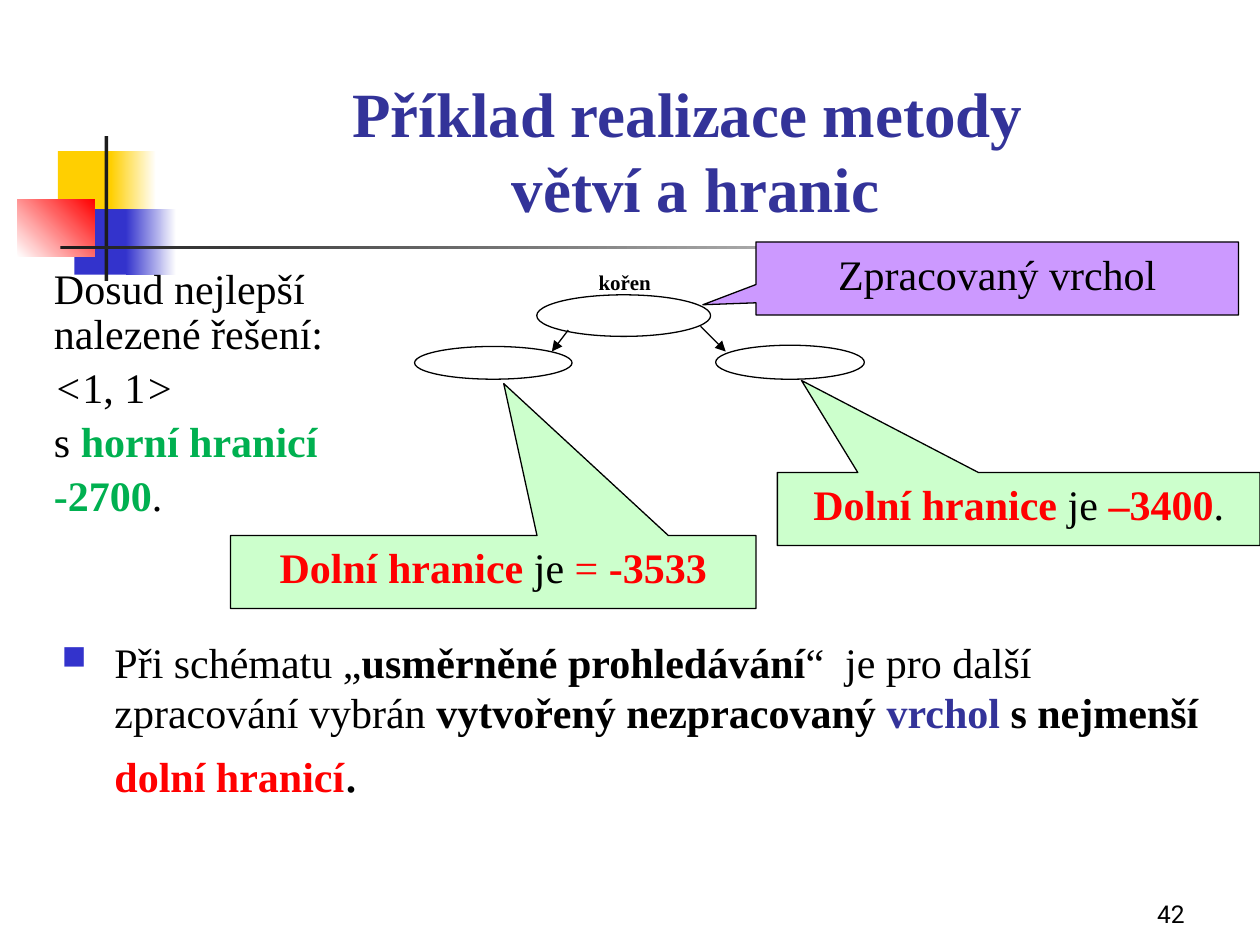
from dataclasses import dataclass

from lxml.etree import SubElement
from pptx import Presentation
from pptx.dml.color import RGBColor
from pptx.enum.shapes import MSO_CONNECTOR, MSO_SHAPE
from pptx.enum.text import MSO_ANCHOR, MSO_AUTO_SIZE, PP_ALIGN
from pptx.oxml.ns import qn
from pptx.util import Inches, Pt

SERIF = "Times New Roman"
BLACK, RED, GREEN, NAVY = "000000", "FF0000", "00B050", "333399"
YELLOW, BLUE, DARK, WHITE = "FFCF01", "3333CC", "1C1C1C", "FFFFFF"
MINT, VIOLET = "CCFFCC", "CC99FF"


@dataclass
class Box:
    left: float
    top: float
    width: float
    height: float

    def lengths(self):
        return [Inches(v) for v in (self.left, self.top, self.width, self.height)]


@dataclass
class Span:
    text: str
    color: str = BLACK
    bold: bool = False
    italic: bool = False
    size: float | None = None


@dataclass
class Block:
    """A decorative rectangle; an end colour turns it into a gradient."""
    box: Box
    color: str
    end_color: str | None = None
    angle: float = 0


@dataclass
class Callout:
    box: Box
    tip: tuple[float, float]
    fill: str
    spans: list[Span]


BLOCKS = [
    Block(Box(0.46, 1.2, 0.48, 0.52), YELLOW),
    Block(Box(0.88, 1.2, 0.36, 0.52), YELLOW, WHITE),
    Block(Box(0.59, 1.66, 0.46, 0.52), BLUE),
    Block(Box(1, 1.66, 0.4, 0.52), BLUE, WHITE),
    Block(Box(0.14, 1.58, 0.61, 0.46), WHITE, RED, 45),
    Block(Box(0.83, 1.08, 0.03, 1.15), DARK),
    Block(Box(0.48, 1.95, 9, 0.03), DARK, WHITE),
]
NODES = [
    Box(4.26, 2.34, 1.38, 0.33),
    Box(3.29, 2.75, 1.25, 0.26),
    Box(5.68, 2.74, 1.18, 0.27),
]
ARROWS = [(5.56, 2.59, 5.76, 2.79), (4.51, 2.62, 4.38, 2.79)]
CALLOUTS = [
    Callout(Box(6.17, 3.75, 3.83, 0.58), (-0.45, -1.76), MINT, [
        Span("Dolní hranice ", RED, True), Span("je "),
        Span("–3400", RED, True), Span(".")]),
    Callout(Box(6, 1.92, 3.83, 0.58), (-0.61, 0.36), VIOLET, [
        Span("Zpracovaný vrchol")]),
    Callout(Box(1.83, 4.25, 4.17, 0.58), (0.02, -2.58), MINT, [
        Span("Dolní hranice ", RED, True), Span("je "),
        Span("= ", RED), Span("-3533", RED, True)]),
]
BEST_SOLUTION = [
    [Span("Dosud nejlepší nalezené řešení:")],
    [Span("<", italic=True), Span("1, 1"), Span(">", italic=True)],
    [Span("s "), Span("horní hranicí", GREEN, True)],
    [Span("-2700", GREEN, True), Span(".")],
]
CONCLUSION = [
    Span("Při schématu „"), Span("usměrněné prohledávání", bold=True),
    Span("“  je pro další zpracování vybrán "),
    Span("vytvořený nezpracovaný ", bold=True), Span("vrchol", NAVY, True),
    Span(" s nejmenší ", bold=True), Span("dolní hranicí", RED, True),
    Span(".", size=32),
]


def rgb(color: str) -> RGBColor:
    return RGBColor.from_string(color)


def write(paragraph, spans: list[Span], size=24, font=SERIF, align=PP_ALIGN.LEFT):
    paragraph.alignment = align
    paragraph.font.name = font
    paragraph.font.size = Pt(size)
    for span in spans:
        run = paragraph.add_run()
        run.text = span.text
        run.font.color.rgb = rgb(span.color)
        run.font.bold = span.bold
        run.font.italic = span.italic
        if span.size:
            run.font.size = Pt(span.size)


def add_text_frame(slide, box: Box):
    frame = slide.shapes.add_textbox(*box.lengths()).text_frame
    frame.word_wrap = True
    return frame


def add_outlined(slide, kind, box: Box, fill: str | None = None):
    shape = slide.shapes.add_shape(kind, *box.lengths())
    shape.shadow.inherit = False
    if fill:
        shape.fill.solid()
        shape.fill.fore_color.rgb = rgb(fill)
    else:
        shape.fill.background()
    shape.line.color.rgb = rgb(BLACK)
    shape.line.width = Pt(0.75)
    return shape


def add_block(slide, block: Block):
    shape = add_outlined(slide, MSO_SHAPE.RECTANGLE, block.box, block.color)
    shape.line.fill.background()
    if block.end_color:
        shape.fill.gradient()
        shape.fill.gradient_angle = block.angle
        for stop, color in zip(shape.fill.gradient_stops, (block.color, block.end_color)):
            stop.color.rgb = rgb(color)


def add_arrow(slide, points: tuple[float, float, float, float]):
    connector = slide.shapes.add_connector(
        MSO_CONNECTOR.STRAIGHT, *[Inches(point) for point in points])
    connector.line.color.rgb = rgb(BLACK)
    connector.line.width = Pt(0.75)
    SubElement(connector.line._get_or_add_ln(), qn("a:tailEnd"), type="triangle")
    SubElement(connector._element.spPr, qn("a:effectLst"))


def add_callout(slide, callout: Callout):
    shape = add_outlined(slide, MSO_SHAPE.RECTANGULAR_CALLOUT, callout.box, callout.fill)
    shape.adjustments[0], shape.adjustments[1] = callout.tip
    frame = shape.text_frame
    frame.word_wrap = True
    frame.vertical_anchor = MSO_ANCHOR.TOP
    write(frame.paragraphs[0], callout.spans, align=PP_ALIGN.CENTER)


def add_square_bullet(paragraph):
    properties = paragraph._p.get_or_add_pPr()
    properties.set("marL", str(Inches(0.42)))
    properties.set("indent", str(-Inches(0.42)))
    SubElement(SubElement(properties, qn("a:buClr")), qn("a:srgbClr"), val=BLUE)
    SubElement(properties, qn("a:buSzPct"), val="80000")
    SubElement(properties, qn("a:buChar"), char="■")


def set_title(slide):
    title = slide.shapes.title
    title.left, title.top, title.width, title.height = Box(1.26, 0.42, 8.52, 1.42).lengths()
    frame = title.text_frame
    frame.auto_size = MSO_AUTO_SIZE.NONE
    frame.vertical_anchor = MSO_ANCHOR.BOTTOM
    paragraph = frame.paragraphs[0]
    paragraph.text = "Příklad realizace metody \vvětví a hranic"
    paragraph.alignment = PP_ALIGN.CENTER
    paragraph.font.name = SERIF
    paragraph.font.size = Pt(36)
    paragraph.font.bold = True
    paragraph.font.color.rgb = rgb(NAVY)


def main():
    presentation = Presentation()
    presentation.slide_width, presentation.slide_height = Inches(10), Inches(7.5)
    slide = presentation.slides.add_slide(presentation.slide_layouts[5])
    for block in BLOCKS:
        add_block(slide, block)
    set_title(slide)

    number = add_text_frame(slide, Box(7.42, 6.92, 2.08, 0.5))
    number.vertical_anchor = MSO_ANCHOR.BOTTOM
    write(number.paragraphs[0], [Span("42")], 14, "Roboto", PP_ALIGN.RIGHT)

    root = add_text_frame(slide, Box(4.74, 2.13, 0.48, 0.23))
    root.word_wrap = False
    root.margin_left = root.margin_right = root.margin_top = root.margin_bottom = Inches(0.01)
    write(root.paragraphs[0], [Span("kořen", bold=True)], 12)

    for node in NODES:
        add_outlined(slide, MSO_SHAPE.OVAL, node)
    for arrow in ARROWS:
        add_arrow(slide, arrow)

    solution = add_text_frame(slide, Box(0.33, 2.08, 2.88, 2.42))
    for index, spans in enumerate(BEST_SOLUTION):
        paragraph = solution.add_paragraph() if index else solution.paragraphs[0]
        paragraph.line_spacing = 0.9
        if index:
            paragraph.space_before = Pt(4.8)
        write(paragraph, spans)

    for callout in CALLOUTS:
        add_callout(slide, callout)

    conclusion = add_text_frame(slide, Box(0.39, 5, 9.44, 1.83)).paragraphs[0]
    add_square_bullet(conclusion)
    write(conclusion, CONCLUSION)
    presentation.save("out.pptx")


if __name__ == "__main__":
    main()
